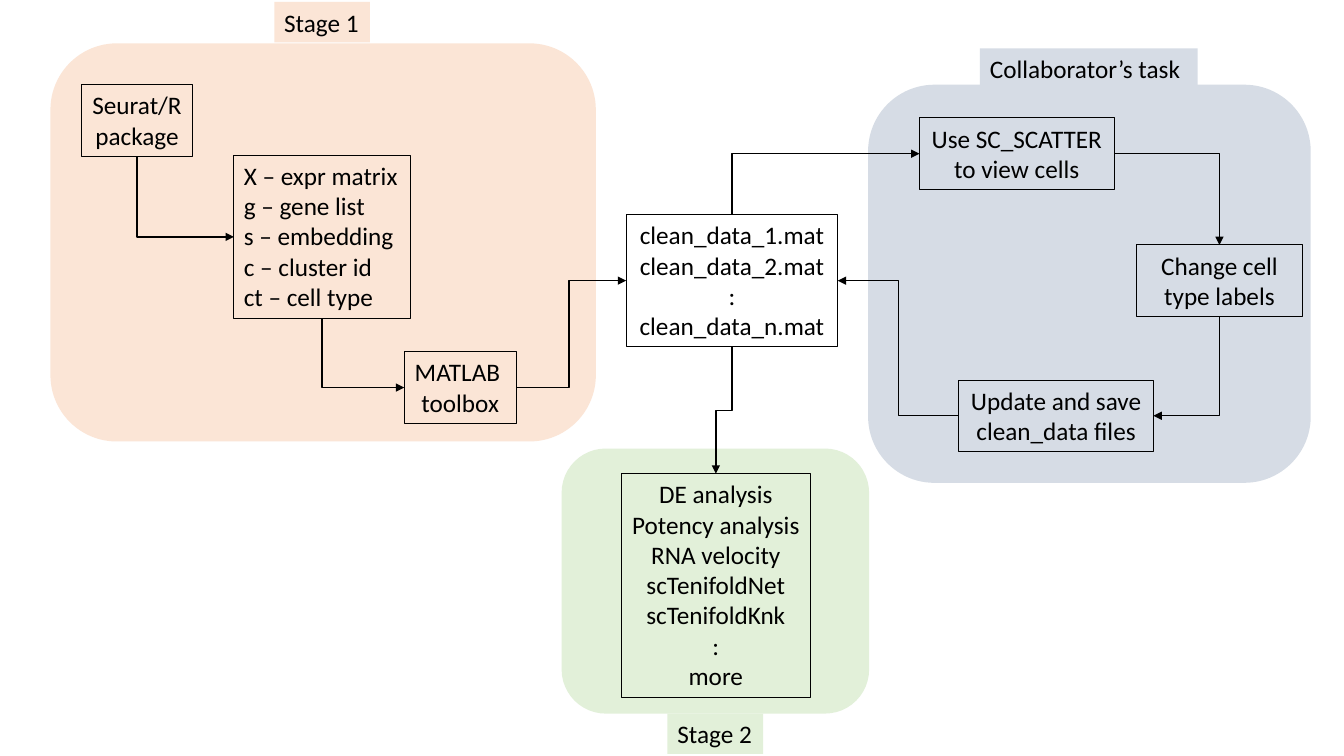
import pptx
import pptx.util
import pptx.dml.color
import pptx.enum.shapes
import pptx.enum.text
import pptx.oxml.ns
import lxml.etree

Inches = pptx.util.Inches
qn = pptx.oxml.ns.qn
ALIGN = pptx.enum.text.PP_ALIGN
TOP, LEFT, BOTTOM, RIGHT = range(4)
BLACK, ORANGE, BLUE, GREEN = "000000", "FBE5D6", "D6DCE5", "E2F0D9"


def color(hex_code):
    """Turn a hex string into a colour."""
    return pptx.dml.color.RGBColor.from_string(hex_code)


class FlowPage:
    """Holds the text style and the slide being drawn."""

    font_name = "Calibri"
    font_size = pptx.util.Pt(18)

    def __init__(self, deck):
        """Add a blank slide to the deck."""
        self.shapes = deck.slides.add_slide(deck.slide_layouts[6]).shapes

    def panel(self, left, top, width, height, fill):
        """Draw a rounded background area."""
        area = self.shapes.add_shape(
            pptx.enum.shapes.MSO_SHAPE.ROUNDED_RECTANGLE,
            Inches(left), Inches(top), Inches(width), Inches(height))
        area.shadow.inherit = False
        area.fill.solid()
        area.fill.fore_color.rgb = color(fill)
        area.line.fill.background()

    def text(self, lines, left, top, width, height, align, wrap):
        """Write one paragraph per line in a text box."""
        box = self.shapes.add_textbox(
            Inches(left), Inches(top), Inches(width), Inches(height))
        frame = box.text_frame
        frame.word_wrap = wrap
        frame.auto_size = pptx.enum.text.MSO_AUTO_SIZE.SHAPE_TO_FIT_TEXT
        for index, line in enumerate(lines):
            para = frame.add_paragraph() if index else frame.paragraphs[0]
            para.alignment = align
            span = para.add_run()
            span.text = line
            span.font.name = self.font_name
            span.font.size = self.font_size
            span.font.color.rgb = color(BLACK)
        return box

    def step(self, lines, left, top, width, height, align=ALIGN.CENTER, wrap=True):
        """Draw an outlined box for one step."""
        box = self.text(lines, left, top, width, height, align, wrap)
        box.line.color.rgb = color(BLACK)
        box.line.width = pptx.util.Pt(0.75)
        return box

    def tab(self, label, left, top, width, fill):
        """Draw the filled label of a panel."""
        box = self.text([label], left, top, width, 0.4, ALIGN.LEFT, False)
        box.fill.solid()
        box.fill.fore_color.rgb = color(fill)

    def arrow(self, source, source_side, target, target_side, bend=0.5):
        """Join two boxes with an elbow arrow glued to the given sides."""
        link = self.shapes.add_connector(
            pptx.enum.shapes.MSO_CONNECTOR.ELBOW, 0, 0, 0, 0)
        link.begin_connect(source, source_side)
        link.end_connect(target, target_side)
        properties = link._element.spPr
        if source_side in (TOP, BOTTOM):
            self.turn(link, properties)
        geometry = properties.find(qn("a:prstGeom"))
        if source_side % 2 != target_side % 2:
            geometry.set("prst", "bentConnector2")
        elif bend != 0.5:
            lxml.etree.SubElement(geometry.find(qn("a:avLst")), qn("a:gd"),
                                  name="adj1", fmla=f"val {round(bend * 100000)}")
        link.line.color.rgb = color(BLACK)
        link.line.width = pptx.util.Pt(1)
        outline = properties.find(qn("a:ln"))
        lxml.etree.SubElement(outline, qn("a:tailEnd"), type="triangle")
        lxml.etree.SubElement(properties, qn("a:effectLst"))

    def turn(self, link, properties):
        """Rotate an elbow so that it leaves its source vertically."""
        across, down = link.end_x - link.begin_x, link.end_y - link.begin_y
        center_x = (link.begin_x + link.end_x) // 2
        center_y = (link.begin_y + link.end_y) // 2
        half_width, half_height = abs(down) // 2, abs(across) // 2
        if (across > 0) == (down > 0):
            half_height = -half_height
        link.begin_x, link.end_x = center_x - half_width, center_x + half_width
        link.begin_y, link.end_y = center_y - half_height, center_y + half_height
        degrees = 90 if down > 0 else 270
        properties.find(qn("a:xfrm")).set("rot", str(degrees * 60000))


deck = pptx.Presentation()
deck.slide_width, deck.slide_height = Inches(13.33), Inches(7.5)
page = FlowPage(deck)

page.panel(5.57, 4.45, 3.05, 2.63, GREEN)
page.panel(0.5, 0.43, 5.41, 3.95, ORANGE)
page.panel(8.61, 0.84, 4.39, 3.95, BLUE)

seurat = page.step(["Seurat/R", "package"], 0.81, 0.84, 1.1, 0.71, wrap=False)
inputs = page.step(
    ["X – expr matrix", "g – gene list", "s – embedding", "c – cluster id",
     "ct – cell type"], 2.32, 1.54, 1.75, 1.62, align=ALIGN.LEFT)
toolbox = page.step(["MATLAB ", "toolbox"], 4.01, 3.49, 1.11, 0.71, wrap=False)
clean_data = page.step(
    ["clean_data_1.mat", "clean_data_2.mat", ":", "clean_data_n.mat"],
    6.21, 2.13, 2.1, 1.31)
view = page.step(["Use SC_SCATTER to view cells"], 9.12, 1.17, 1.93, 0.71)
relabel = page.step(["Change cell type labels"], 11.27, 2.43, 1.65, 0.71)
update = page.step(["Update and save clean_data files"], 9.51, 3.77, 1.93, 0.71)
analyses = page.step(
    ["DE analysis", "Potency analysis", "RNA velocity", "scTenifoldNet",
     "scTenifoldKnk", ":", "more"], 6.16, 4.7, 1.88, 2.22)

page.arrow(seurat, BOTTOM, inputs, LEFT)
page.arrow(inputs, BOTTOM, toolbox, LEFT)
page.arrow(toolbox, RIGHT, clean_data, LEFT, bend=0.48)
page.arrow(clean_data, TOP, view, LEFT)
page.arrow(view, RIGHT, relabel, TOP)
page.arrow(relabel, BOTTOM, update, RIGHT)
page.arrow(update, LEFT, clean_data, RIGHT)
page.arrow(clean_data, BOTTOM, analyses, TOP)

page.tab("Collaborator’s task ", 9.72, 0.48, 2.16, BLUE)
page.tab("Stage 1", 2.72, 0.02, 0.95, ORANGE)
page.tab("Stage 2", 6.62, 7.08, 0.95, GREEN)

deck.save("out.pptx")
